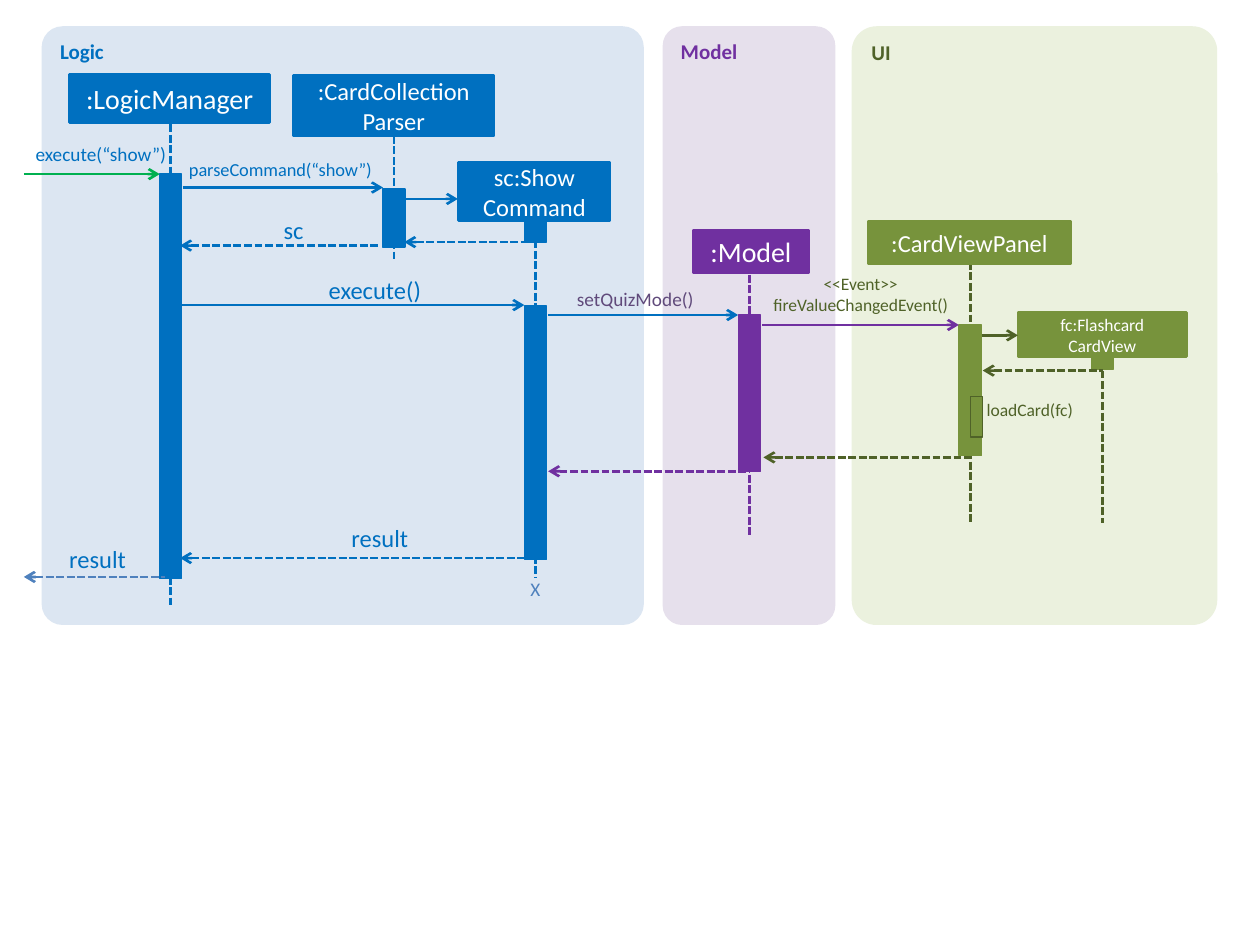
from dataclasses import dataclass

from lxml.etree import SubElement
from pptx import Presentation
from pptx.dml.color import RGBColor
from pptx.enum.dml import MSO_LINE
from pptx.enum.shapes import MSO_CONNECTOR, MSO_SHAPE
from pptx.enum.text import MSO_ANCHOR, PP_ALIGN
from pptx.oxml.ns import qn
from pptx.util import Cm, Pt

LEFT, CENTER, RIGHT = PP_ALIGN.LEFT, PP_ALIGN.CENTER, PP_ALIGN.RIGHT


@dataclass(frozen=True)
class Theme:
    font: str = "Calibri"
    white: str = "FFFFFF"
    blue: str = "0070C0"
    blue_soft: str = "4F81BD"
    blue_pale: str = "DCE6F2"
    purple: str = "7030A0"
    purple_soft: str = "604A7B"
    purple_pale: str = "E6E0EC"
    green: str = "77933C"
    green_dark: str = "4F6228"
    green_pale: str = "EBF1DE"
    entry: str = "00B050"
    title: float = 16
    large: float = 14
    panel: float = 12
    medium: float = 11
    compact: float = 10.5
    small: float = 10
    thick: float = 1.5
    thin: float = 0.75


class SequenceDiagram:
    bar_width = 0.45

    def __init__(self, slide, theme):
        self.slide = slide
        self.theme = theme

    def add_text(self, frame, text, size, color, align, bold=False):
        """Each list item is a paragraph; a newline inside it is a line break."""
        frame.word_wrap = True
        for index, content in enumerate(text):
            paragraph = frame.paragraphs[0] if index == 0 else frame.add_paragraph()
            paragraph.alignment = align
            for part_index, part in enumerate(content.split("\n")):
                if part_index:
                    paragraph.add_line_break()
                run = paragraph.add_run()
                run.text = part
                run.font.name = self.theme.font
                run.font.size = Pt(size)
                run.font.bold = bold
                run.font.color.rgb = RGBColor.from_string(color)

    def block(self, kind, box, fill, outline=None, weight=0):
        shape = self.slide.shapes.add_shape(kind, *map(Cm, box))
        shape.shadow.inherit = False
        shape.fill.solid()
        shape.fill.fore_color.rgb = RGBColor.from_string(fill)
        if outline:
            shape.line.color.rgb = RGBColor.from_string(outline)
            shape.line.width = Pt(weight)
        else:
            shape.line.fill.background()
        return shape

    def panel(self, name, left, width, corner, fill, color):
        shape = self.block(MSO_SHAPE.ROUNDED_RECTANGLE, (left, 0.53, width, 12.07), fill)
        shape.adjustments[0] = corner
        shape.text_frame.vertical_anchor = MSO_ANCHOR.TOP
        self.add_text(shape.text_frame, [name], self.theme.panel, color, LEFT, bold=True)

    def participant(self, text, box, size, color):
        shape = self.block(MSO_SHAPE.RECTANGLE, box, color, color, self.theme.thick)
        shape.text_frame.vertical_anchor = MSO_ANCHOR.MIDDLE
        self.add_text(shape.text_frame, text, size, self.theme.white, CENTER)

    def activation(self, center, top, bottom, color):
        box = (center - self.bar_width / 2, top, self.bar_width, bottom - top)
        self.block(MSO_SHAPE.RECTANGLE, box, color, color, self.theme.thin)

    def self_call(self, box):
        self.block(MSO_SHAPE.RECTANGLE, box, self.theme.green,
                   self.theme.green_dark, self.theme.thin)

    def line(self, x1, y1, x2, y2, color, dashed=False, arrow=None):
        connector = self.slide.shapes.add_connector(
            MSO_CONNECTOR.STRAIGHT, Cm(x1), Cm(y1), Cm(x2), Cm(y2))
        connector.line.color.rgb = RGBColor.from_string(color)
        connector.line.width = Pt(self.theme.thick)
        if dashed:
            connector.line.dash_style = MSO_LINE.SQUARE_DOT
        properties = connector._element.spPr
        if arrow:
            SubElement(properties.find(qn("a:ln")), qn(arrow), type="arrow")
        SubElement(properties, qn("a:effectLst"))

    def lifeline(self, center, top, bottom, color):
        self.line(center, top, center, bottom, color, dashed=True)

    def call(self, left, right, y, color):
        self.line(left, y, right, y, color, arrow="a:tailEnd")

    def reply(self, left, right, y, color):
        self.line(left, y, right, y, color, dashed=True, arrow="a:headEnd")

    def label(self, text, box, size, color, align):
        frame = self.slide.shapes.add_textbox(*map(Cm, box)).text_frame
        frame.margin_left = frame.margin_right = 0
        frame.margin_top = frame.margin_bottom = 0
        self.add_text(frame, text, size, color, align)


def main():
    presentation = Presentation()
    presentation.slide_width, presentation.slide_height = Cm(25.4), Cm(19.05)
    t = Theme()
    diagram = SequenceDiagram(
        presentation.slides.add_slide(presentation.slide_layouts[6]), t)

    # Component panels
    diagram.panel("Logic", 0.84, 12.14, 0.035, t.blue_pale, t.blue)
    diagram.panel("Model", 13.36, 3.48, 0.112, t.purple_pale, t.purple)
    diagram.panel("UI", 17.17, 7.37, 0.068, t.green_pale, t.green_dark)

    # Lifeline centres
    manager, parser, command = 3.44, 7.94, 10.8
    model, view, card = 15.11, 19.56, 22.23

    for center, top, bottom, color in (
        (manager, 2.51, 12.19, t.blue),
        (parser, 2.74, 5.28, t.blue),
        (command, 4.42, 11.63, t.blue),
        (model, 5.54, 10.8, t.purple),
        (view, 5.28, 10.54, t.green_dark),
        (card, 7.47, 10.54, t.green_dark),
    ):
        diagram.lifeline(center, top, bottom, color)

    # Activation bars
    for center, top, bottom, color in (
        (manager, 3.51, 11.66, t.blue),
        (parser, 3.81, 4.98, t.blue),
        (command, 4.42, 4.88, t.blue),
        (command, 6.17, 11.28, t.blue),
        (model, 6.35, 9.5, t.purple),
        (view, 6.55, 9.19, t.green),
        (card, 7.21, 7.44, t.green),
    ):
        diagram.activation(center, top, bottom, color)
    diagram.self_call((view, 8, 0.25, 0.81))

    # Participants
    for text, box, size, color in (
        ([":LogicManager"], (1.4, 1.5, 4.04, 0.97), t.title, t.blue),
        ([":CardCollection", "Parser"], (5.92, 1.52, 4.04, 1.22), t.large, t.blue),
        (["sc:Show\nCommand"], (9.25, 3.28, 3.05, 1.17), t.large, t.blue),
        ([":Model"], (13.97, 4.65, 2.34, 0.84), t.title, t.purple),
        ([":CardViewPanel"], (17.5, 4.47, 4.09, 0.84), t.large, t.green),
        (["fc:Flashcard", "CardView"], (20.52, 6.3, 3.4, 0.89), t.small, t.green),
    ):
        diagram.participant(text, box, size, color)

    # Calls
    for left, right, y, color in (
        (0.48, 3.22, 3.51, t.entry),
        (3.68, 7.72, 3.78, t.blue),
        (8.15, 9.23, 4.01, t.blue),
        (3.63, 10.57, 6.15, t.blue),
        (11.05, 14.88, 6.35, t.blue),
        (15.37, 19.33, 6.55, t.purple),
        (19.79, 20.52, 6.76, t.green_dark),
    ):
        diagram.call(left, right, y, color)

    # Replies
    for left, right, y, color in (
        (8.15, 10.69, 4.88, t.blue),
        (3.63, 7.62, 4.95, t.blue),
        (19.81, card, 7.47, t.green_dark),
        (15.39, view, 9.22, t.green_dark),
        (11.05, model, 9.5, t.purple),
        (3.63, command, 11.25, t.blue),
        (0.48, 3.33, 11.63, t.blue_soft),
    ):
        diagram.reply(left, right, y, color)

    # Message labels
    for text, box, size, color, align in (
        (["execute(“show”)"], (0.43, 2.87, 2.92, 0.48), t.medium, t.blue, RIGHT),
        (["parseCommand(“show”)"], (3.81, 3.18, 4.34, 0.46), t.compact, t.blue, LEFT),
        (["sc"], (5.51, 4.34, 0.61, 0.61), t.large, t.blue, RIGHT),
        (["execute()"], (6.1, 5.54, 2.39, 0.61), t.large, t.blue, RIGHT),
        (["setQuizMode()"], (11.63, 5.79, 2.64, 0.48), t.medium, t.purple_soft, LEFT),
        (["<<Event>>", "fireValueChangedEvent()"], (15.24, 5.51, 4.22, 0.86),
         t.small, t.green_dark, CENTER),
        (["loadCard(fc)"], (19.89, 8.05, 2.41, 0.43), t.small, t.green_dark, LEFT),
        (["result"], (6.5, 10.54, 1.73, 0.61), t.large, t.blue, RIGHT),
        (["result"], (0.43, 10.97, 2.11, 0.61), t.large, t.blue, RIGHT),
        (["X"], (10.44, 11.64, 0.71, 0.48), t.medium, t.blue_soft, CENTER),
    ):
        diagram.label(text, box, size, color, align)

    presentation.save("out.pptx")


if __name__ == "__main__":
    main()
